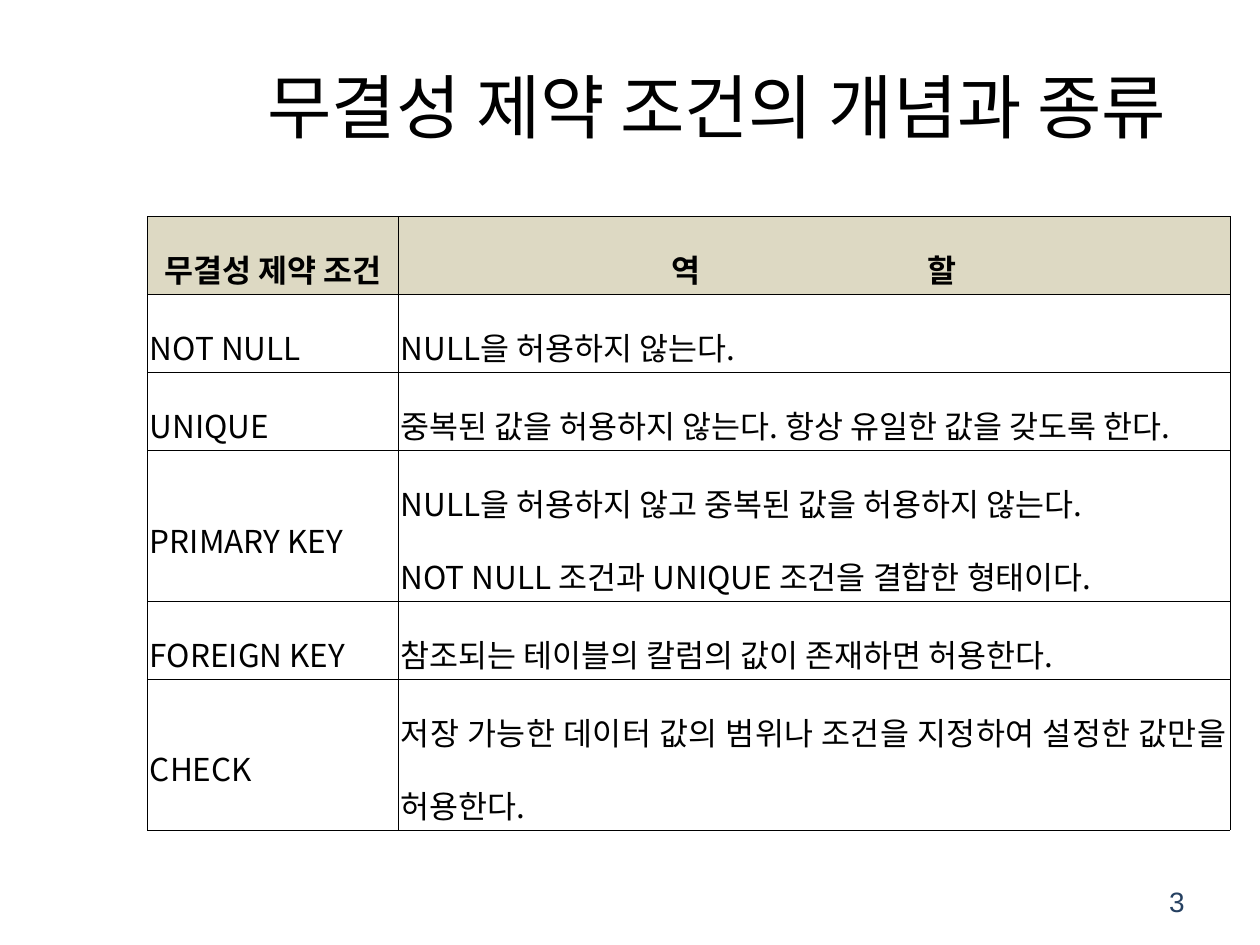
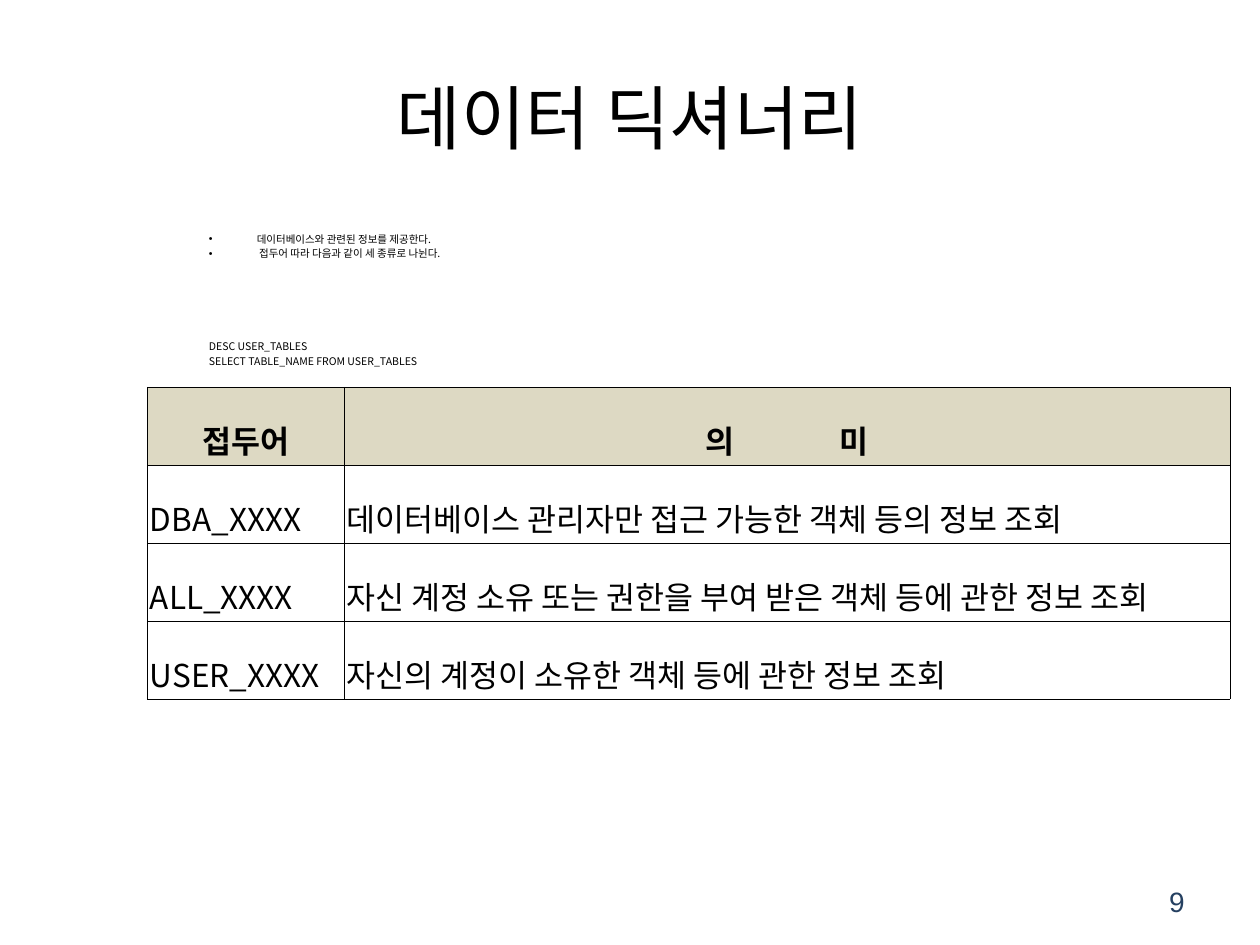
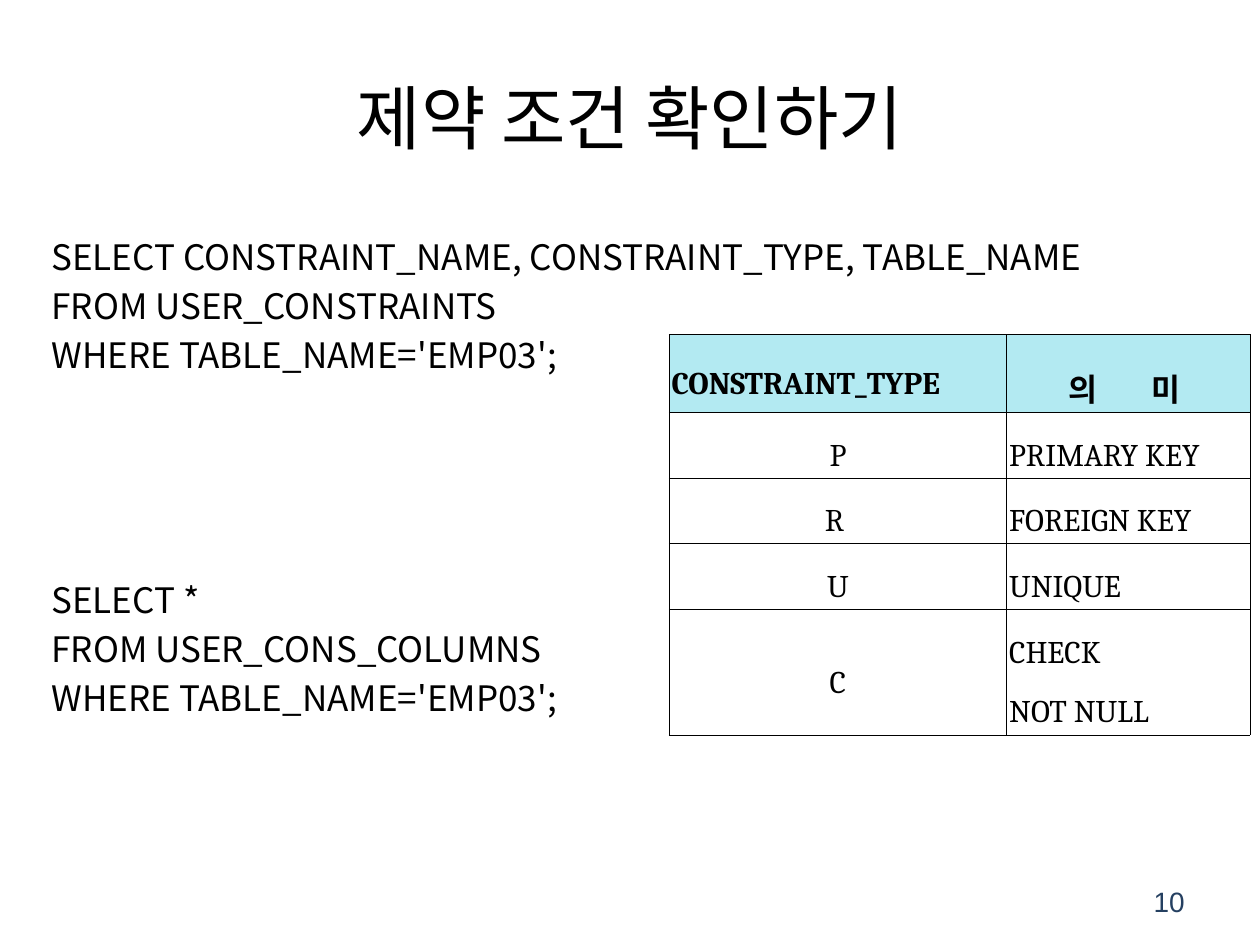
from lxml.etree import SubElement
from pptx import Presentation
from pptx.dml.color import RGBColor
from pptx.enum.text import MSO_ANCHOR as Anchor, PP_ALIGN as Align
from pptx.oxml import parse_xml
from pptx.oxml.ns import nsdecls, qn
from pptx.util import Pt

BLACK, WHITE, NAVY, BEIGE, AQUA = "000000", "FFFFFF", "254061", "DDD9C3", "B3EAF2"
SANS, SERIF, NUMBER_FONT = "Noto Sans CJK KR", "Cambria", "Arial"
TITLE_BOX = (36, 21.6, 648, 90)
NUMBER_BOX = (516.24, 500.4, 167.76, 28.8)
ROW, TALL_ROW = 44.55, 86.3
CELL_INSET = 1.44
HANGING = 27.36


def color(value):
    """Turn a hex string into a colour."""
    return RGBColor.from_string(value)


def assign(target, values):
    """Set each attribute of the target from a dict."""
    for name, value in values.items():
        setattr(target, name, value)


class Deck:
    """Holds the style and the current slide."""

    def __init__(self):
        """Start an empty 10 by 7.5 inch presentation."""
        self.presentation = Presentation()
        assign(self.presentation, {"slide_width": Pt(720), "slide_height": Pt(540)})
        self.slide = None

    def add_slide(self, title, number, title_box=TITLE_BOX):
        """Add a slide with its title and page number."""
        self.slide = self.presentation.slides.add_slide(self.presentation.slide_layouts[6])
        self.add_text(title_box, [title], 40, align=Align.CENTER, anchor=Anchor.MIDDLE)
        self.add_text(NUMBER_BOX, [number], 16, font=NUMBER_FONT, ink=NAVY,
                      align=Align.RIGHT, anchor=Anchor.MIDDLE)

    def add_run(self, paragraph, text, size, font=SANS, ink=BLACK, bold=False, tracking=0):
        """Add one formatted run, with optional letter spacing."""
        run = paragraph.add_run()
        run.text = text
        assign(run.font, {"size": Pt(size), "name": font, "bold": bold})
        run.font.color.rgb = color(ink)
        properties = run.font._element
        SubElement(properties, qn("a:ea")).set("typeface", SANS)
        if tracking:
            properties.set("spc", str(round(tracking * 100)))

    def add_lines(self, frame, lines, size, align=Align.LEFT, spacing=None, gap=0, **style):
        """Add one paragraph a line, widening the first space by the gap."""
        for index, line in enumerate(lines):
            paragraph = frame.add_paragraph() if index else frame.paragraphs[0]
            assign(paragraph, {"alignment": align, "line_spacing": spacing})
            if gap:
                first, space, last = line.partition(" ")
                self.add_run(paragraph, first, size, **style)
                self.add_run(paragraph, space, size, tracking=gap, **style)
                self.add_run(paragraph, last, size, **style)
            else:
                self.add_run(paragraph, line, size, **style)

    def add_text(self, box, lines, size, anchor=Anchor.TOP, fill=None, **style):
        """Add a wrapping text box and return its paragraphs."""
        shape = self.slide.shapes.add_textbox(*map(Pt, box))
        assign(shape.text_frame, {"word_wrap": True, "vertical_anchor": anchor})
        if fill:
            shape.fill.solid()
            shape.fill.fore_color.rgb = color(fill)
        self.add_lines(shape.text_frame, lines, size, **style)
        return shape.text_frame.paragraphs

    def add_blocks(self, box, blocks, size, pitch, line, block_gap, **style):
        """Add text blocks set apart by paragraph spacing."""
        paragraphs = self.add_text(box, sum(blocks, []), size, spacing=Pt(line), **style)
        for index, paragraph in enumerate(paragraphs):
            paragraph.space_before = Pt(pitch - line if index else 0)
        paragraphs[len(blocks[0])].space_before = Pt(block_gap)
        return paragraphs

    def add_bullet(self, paragraph):
        """Give a paragraph a hanging bullet."""
        properties = paragraph._p.get_or_add_pPr()
        properties.set("marL", str(Pt(HANGING)))
        properties.set("indent", str(-Pt(HANGING)))
        SubElement(properties, qn("a:buFont")).set("typeface", "Arial")
        SubElement(properties, qn("a:buChar")).set("char", "•")

    def add_borders(self, cell, width):
        """Draw thin black lines on all sides of a cell."""
        for index, side in enumerate("LRTB"):
            cell._tc.get_or_add_tcPr().insert(index, parse_xml(
                f'<a:ln{side} {nsdecls("a")} w="{Pt(width)}"><a:solidFill>'
                f'<a:srgbClr val="{BLACK}"/></a:solidFill></a:ln{side}>'))

    def add_table(self, corner, widths, heights, rows, header_fill, gap, border=0.28,
                  font=SANS, body_fill=None, header_aligns=(Align.CENTER,) * 2,
                  body_aligns=(Align.JUSTIFY,) * 2):
        """Add a two-column table with a tinted header row."""
        box = (*corner, sum(widths), sum(heights))
        table = self.slide.shapes.add_table(len(rows), len(widths), *map(Pt, box)).table
        assign(table, {"first_row": False, "horz_banding": False})
        for column, width in zip(table.columns, widths):
            column.width = Pt(width)
        margins = {f"margin_{side}": Pt(CELL_INSET) for side in ("left", "right", "top", "bottom")}
        for row_index, (row, height) in enumerate(zip(rows, heights)):
            table.rows[row_index].height = Pt(height)
            header = row_index == 0
            fill = header_fill if header else body_fill
            for column_index, text in enumerate(row):
                cell = table.cell(row_index, column_index)
                assign(cell, {**margins, "vertical_anchor": Anchor.MIDDLE})
                if fill:
                    cell.fill.solid()
                    cell.fill.fore_color.rgb = color(fill)
                else:
                    cell.fill.background()
                self.add_borders(cell, border)
                aligns = header_aligns if header else body_aligns
                self.add_lines(cell.text_frame, text.split("\n"), 18, aligns[column_index], 1.6,
                               gap if header and column_index else 0, font=font, bold=header)


def add_constraint_kinds(deck):
    """Build the slide on the kinds of integrity constraints."""
    deck.add_slide("무결성 제약 조건의 개념과 종류", "3", (99.36, 15.12, 620.64, 90.72))
    deck.add_table((84.24, 123.6), (143.28, 475.2), (ROW, ROW, ROW, TALL_ROW, ROW, TALL_ROW), [
        ("무결성 제약 조건", "역 할"),
        ("NOT NULL", "NULL을 허용하지 않는다."),
        ("UNIQUE", "중복된 값을 허용하지 않는다. 항상 유일한 값을 갖도록 한다."),
        ("PRIMARY KEY", "NULL을 허용하지 않고 중복된 값을 허용하지 않는다.\n"
                        "NOT NULL 조건과 UNIQUE 조건을 결합한 형태이다."),
        ("FOREIGN KEY", "참조되는 테이블의 칼럼의 값이 존재하면 허용한다."),
        ("CHECK", "저장 가능한 데이터 값의 범위나 조건을 지정하여 설정한 값만을 허용한다."),
    ], BEIGE, gap=126, border=0.25, body_fill=WHITE)


def add_data_dictionary(deck):
    """Build the slide on the data dictionary."""
    deck.add_slide("데이터 딕셔너리", "9")
    notes = ["데이터베이스와 관련된 정보를 제공한다.", " 접두어 따라 다음과 같이 세 종류로 나뉜다."]
    queries = ["DESC USER_TABLES", "SELECT TABLE_NAME FROM USER_TABLES"]
    paragraphs = deck.add_blocks((112.32, 129.6, 590.4, 78.48), [notes, queries], 6,
                                 pitch=8.3, line=7, block_gap=46)
    for paragraph in paragraphs[:len(notes)]:
        deck.add_bullet(paragraph)
    deck.add_table((84.24, 221.2), (112.32, 506.16), (ROW,) * 4, [
        ("접두어", "의 미"),
        ("DBA_XXXX", "데이터베이스 관리자만 접근 가능한 객체 등의 정보 조회"),
        ("ALL_XXXX", "자신 계정 소유 또는 권한을 부여 받은 객체 등에 관한 정보 조회"),
        ("USER_XXXX", "자신의 계정이 소유한 객체 등에 관한 정보 조회"),
    ], BEIGE, gap=56)


def add_constraint_check(deck):
    """Build the slide on looking up constraints."""
    deck.add_slide("제약 조건 확인하기", "10")
    condition = "WHERE TABLE_NAME='EMP03';"
    deck.add_blocks((22.32, 129.6, 680.4, 343.44), [
        ["SELECT CONSTRAINT_NAME, CONSTRAINT_TYPE, TABLE_NAME", "FROM USER_CONSTRAINTS", condition],
        ["SELECT *", "FROM USER_CONS_COLUMNS", condition],
    ], 20, pitch=28, line=25.5, block_gap=114.5, fill=WHITE)
    deck.add_table((382.32, 191.2), (192.96, 138.96), (ROW, 36, 36, 36, 69.7), [
        ("CONSTRAINT_TYPE", "의 미 "),
        ("P", "PRIMARY KEY"),
        ("R ", "FOREIGN KEY"),
        ("U", "UNIQUE"),
        ("C", "CHECK\nNOT NULL"),
    ], AQUA, gap=27, font=SERIF, header_aligns=(Align.JUSTIFY, Align.CENTER),
        body_aligns=(Align.CENTER, Align.JUSTIFY))


def main():
    """Build all slides and save them."""
    deck = Deck()
    for add_content in (add_constraint_kinds, add_data_dictionary, add_constraint_check):
        add_content(deck)
    deck.presentation.save("out.pptx")


if __name__ == "__main__":
    main()
